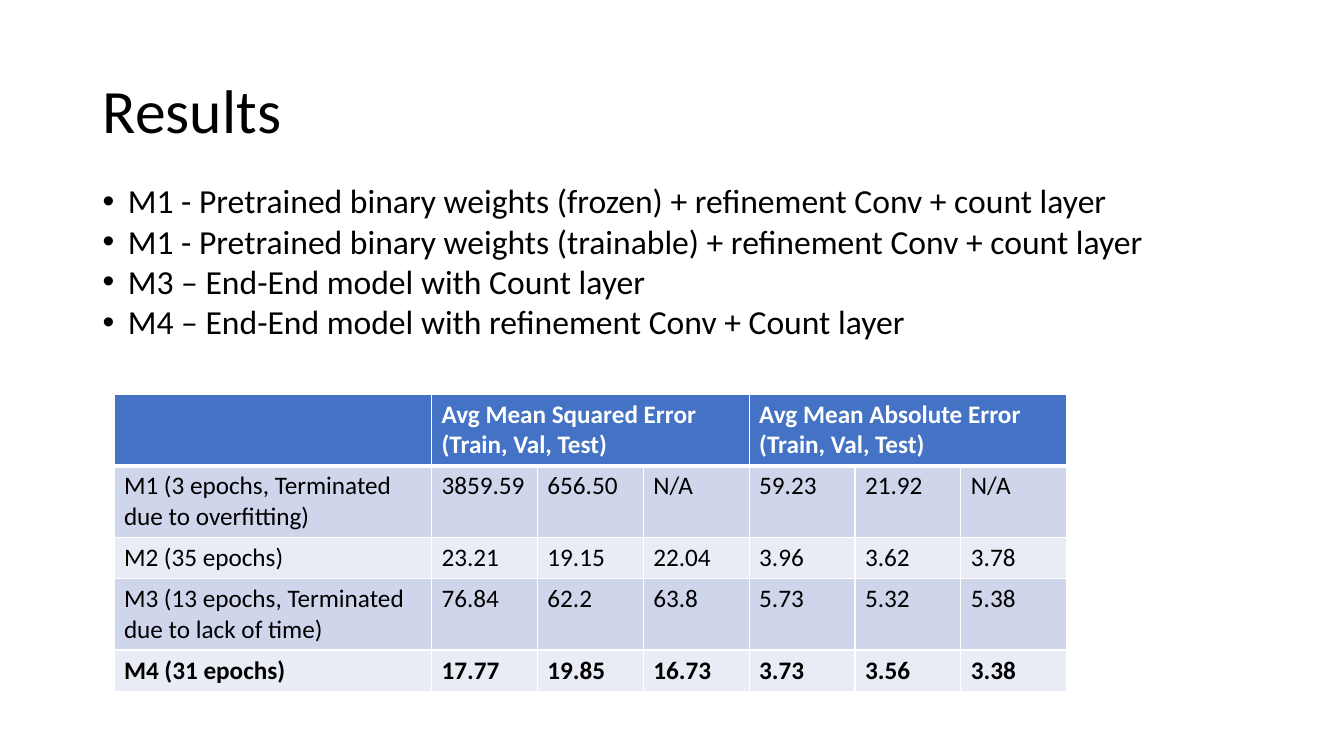
from dataclasses import dataclass

from lxml import etree
from pptx import Presentation
from pptx.dml.color import RGBColor
from pptx.enum.text import MSO_ANCHOR, MSO_AUTO_SIZE, PP_ALIGN
from pptx.oxml.ns import qn
from pptx.slide import Slide
from pptx.table import _Cell
from pptx.util import Inches, Pt

LEFT = PP_ALIGN.LEFT
MIDDLE = MSO_ANCHOR.MIDDLE
NO_AUTOFIT = MSO_AUTO_SIZE.NONE
TITLE_ONLY = 5

FONT = "Calibri"
BLACK = RGBColor(0x00, 0x00, 0x00)
WHITE = RGBColor(0xFF, 0xFF, 0xFF)
HEADER_BLUE = RGBColor(0x44, 0x72, 0xC4)
BAND_DARK = RGBColor(0xCF, 0xD5, 0xEA)
BAND_LIGHT = RGBColor(0xE9, 0xEB, 0xF5)

MODELS = [
    "M1 - Pretrained binary weights (frozen) + refinement Conv + count layer",
    "M1 - Pretrained binary weights (trainable) + refinement Conv + count layer",
    "M3 – End-End model with Count layer",
    "M4 – End-End model with refinement Conv + Count layer",
]
METRICS = [
    "Avg Mean Squared Error\n(Train, Val, Test)",
    "Avg Mean Absolute Error\n(Train, Val, Test)",
]
SPLITS = 3
COLUMN_WIDTHS = [3.15] + [1.05] * SPLITS * len(METRICS)
HEADER_HEIGHT = 0.71


@dataclass
class ModelResult:
    label: str
    errors: list[str]
    height: float
    bold: bool = False


RESULTS = [
    ModelResult("M1 (3 epochs, Terminated due to overfitting)",
                ["3859.59", "656.50", "N/A", "59.23", "21.92", "N/A"], 0.71),
    ModelResult("M2 (35 epochs)",
                ["23.21", "19.15", "22.04", "3.96", "3.62", "3.78"], 0.41),
    ModelResult("M3 (13 epochs, Terminated due to lack of time)",
                ["76.84", "62.2", "63.8", "5.73", "5.32", "5.38"], 0.71),
    ModelResult("M4 (31 epochs)",
                ["17.77", "19.85", "16.73", "3.73", "3.56", "3.38"], 0.41, bold=True),
]


def format_text(text_frame, size: float, color: RGBColor, bold: bool = False) -> None:
    for paragraph in text_frame.paragraphs:
        paragraph.alignment = LEFT
        font = paragraph.font
        font.name, font.size, font.bold = FONT, Pt(size), bold
        font.color.rgb = color
        for run in paragraph.runs:
            run.font.name, run.font.size, run.font.bold = FONT, Pt(size), bold
            run.font.color.rgb = color


def add_title(slide: Slide) -> None:
    title = slide.shapes.title
    title.left, title.top = Inches(0.92), Inches(0.4)
    title.width, title.height = Inches(11.5), Inches(1.45)
    text_frame = title.text_frame
    text_frame.text = "Results"
    text_frame.auto_size = NO_AUTOFIT
    text_frame.vertical_anchor = MIDDLE
    text_frame.paragraphs[0].line_spacing = 0.9
    format_text(text_frame, 44, BLACK)


def add_model_list(slide: Slide) -> None:
    box = slide.shapes.add_textbox(Inches(0.92), Inches(1.74), Inches(11.5), Inches(5.26))
    text_frame = box.text_frame
    text_frame.word_wrap = True
    text_frame.text = "\n".join(MODELS)
    for paragraph in text_frame.paragraphs:
        properties = paragraph._p.get_or_add_pPr()
        properties.set("marL", str(Inches(0.25)))
        properties.set("indent", str(Inches(-0.25)))
        etree.SubElement(properties, qn("a:buFont"), typeface="Arial")
        etree.SubElement(properties, qn("a:buChar"), char="•")
    format_text(text_frame, 24, BLACK)


def add_borders(cell: _Cell, top: float, bottom: float) -> None:
    """Draw white cell borders; call before the cell gets its fill."""
    properties = cell._tc.get_or_add_tcPr()
    for side, width in (("L", 1), ("R", 1), ("T", top), ("B", bottom)):
        line = etree.SubElement(properties, qn(f"a:ln{side}"), w=str(Pt(width)))
        fill = etree.SubElement(line, qn("a:solidFill"))
        etree.SubElement(fill, qn("a:srgbClr"), val=str(WHITE))


def style_cell(cell: _Cell, fill: RGBColor, color: RGBColor, bold: bool,
               top: float = 1, bottom: float = 1) -> None:
    add_borders(cell, top, bottom)
    cell.fill.solid()
    cell.fill.fore_color.rgb = fill
    format_text(cell.text_frame, 18, color, bold)


def add_results_table(slide: Slide) -> None:
    heights = [HEADER_HEIGHT] + [result.height for result in RESULTS]
    table = slide.shapes.add_table(
        len(heights), len(COLUMN_WIDTHS), Inches(1.13), Inches(3.91),
        Inches(sum(COLUMN_WIDTHS)), Inches(sum(heights))).table
    for column, width in zip(table.columns, COLUMN_WIDTHS):
        column.width = Inches(width)
    for row, height in zip(table.rows, heights):
        row.height = Inches(height)

    for index, metric in enumerate(METRICS):
        first = 1 + index * SPLITS
        table.cell(0, first).merge(table.cell(0, first + SPLITS - 1))
        table.cell(0, first).text = metric
    for cell in table.rows[0].cells:
        style_cell(cell, HEADER_BLUE, WHITE, bold=True, bottom=3)

    for row_index, result in enumerate(RESULTS, start=1):
        band = BAND_DARK if row_index % 2 else BAND_LIGHT
        for cell, text in zip(table.rows[row_index].cells, [result.label, *result.errors]):
            cell.text = text
            style_cell(cell, band, BLACK, result.bold, top=3 if row_index == 1 else 1)


def main() -> None:
    presentation = Presentation()
    presentation.slide_width, presentation.slide_height = Inches(13.33), Inches(7.5)
    slide = presentation.slides.add_slide(presentation.slide_layouts[TITLE_ONLY])
    add_title(slide)
    add_model_list(slide)
    add_results_table(slide)
    presentation.save("out.pptx")


if __name__ == "__main__":
    main()
